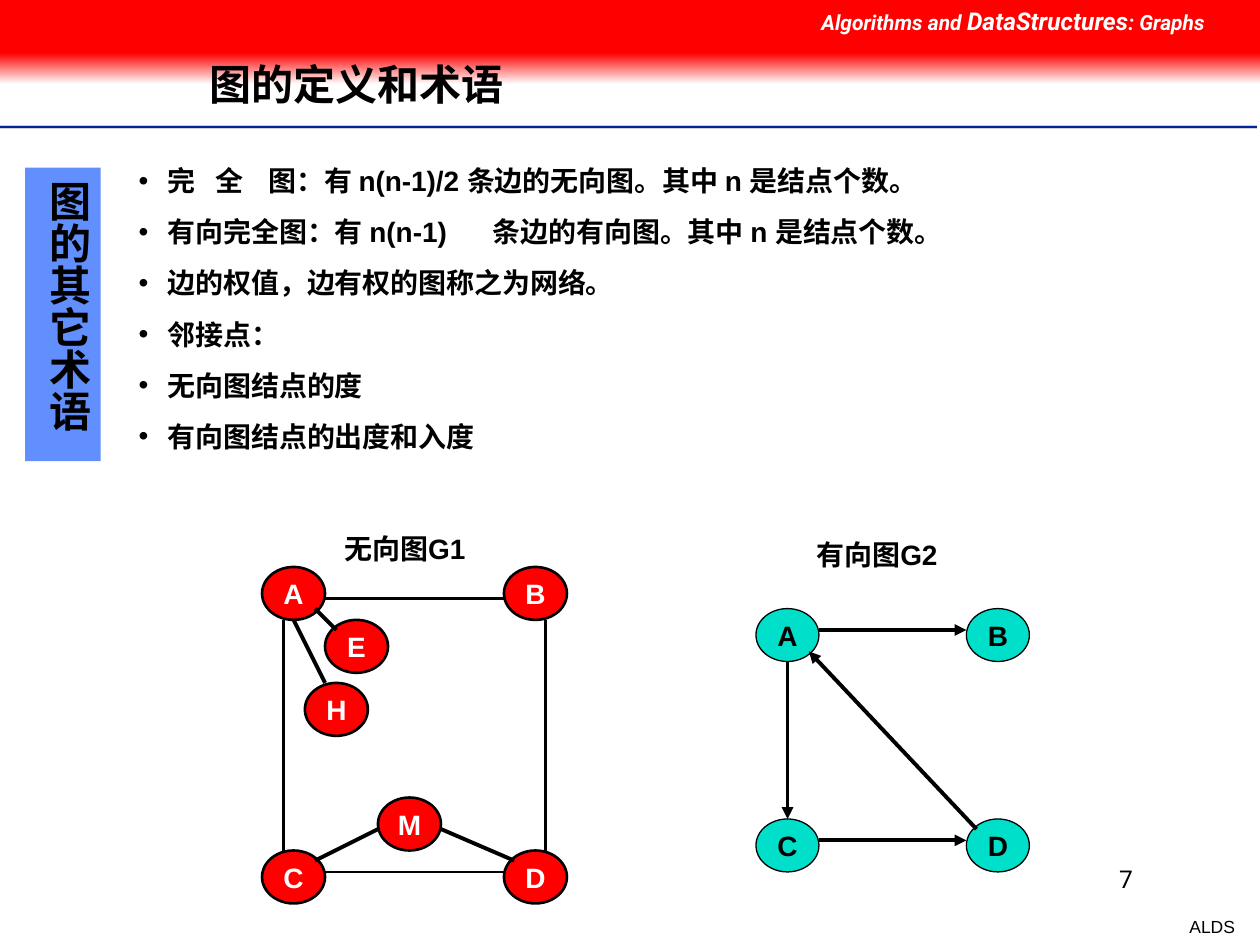
from dataclasses import dataclass

from lxml import etree
from pptx import Presentation
from pptx import util as u
from pptx.dml import color
from pptx.enum import shapes, text
from pptx.oxml import ns


@dataclass(frozen=True)
class Theme:
    black: str = "000000"
    white: str = "FFFFFF"
    red: str = "FF0000"
    teal: str = "00DFCA"
    blue: str = "618FFD"
    navy: str = "00279F"
    gray: str = "CECECE"
    font: str = "Arial"
    header_font: str = "Roboto"
    title_size: int = 24
    body_size: int = 16
    page_size: int = 14
    header_size: int = 12
    small_size: int = 10


THEME = Theme()
ALIGN = text.PP_ALIGN
ANCHOR = text.MSO_ANCHOR
NODE_SIZE = (0.5, 0.42)

BULLETS = [
    ("完\t全\t图：有 n(n-1)/2 条边的无向图。其中 n 是结点个数。", (0.61, 1.03)),
    ("有向完全图：有 n(n-1)\t条边的有向图。其中 n 是结点个数。", (2.81,)),
    ("边的权值，边有权的图称之为网络。", ()),
    ("邻接点：", ()),
    ("无向图结点的度", ()),
    ("有向图结点的出度和入度", ()),
]
UNDIRECTED_NODES = {
    "A": (2.08, 4.5), "B": (4, 4.5), "C": (2.08, 6.75), "D": (4, 6.75),
    "E": (2.58, 4.92), "H": (2.42, 5.42), "M": (3, 6.33),
}
SIDE_EDGES = [
    (2.58, 4.75, 4, 4.75), (2.25, 4.92, 2.25, 6.75),
    (4.33, 4.92, 4.33, 6.75), (2.58, 6.92, 4, 6.92),
]
INNER_EDGES = [
    (3.5, 6.58, 4.08, 6.83), (2.5, 6.83, 3, 6.58),
    (2.33, 4.92, 2.58, 5.42), (2.5, 4.83, 2.67, 5),
]
DIRECTED_NODES = {
    "A": (6, 4.83), "B": (7.67, 4.83), "C": (6, 6.5), "D": (7.67, 6.5),
}
DIRECTED_EDGES = [
    (6.5, 5, 7.67, 5), (6.5, 6.67, 7.67, 6.67),
    (6.25, 5.25, 6.25, 6.5), (7.75, 6.58, 6.42, 5.17),
]


def rgb(value):
    return color.RGBColor.from_string(value)


def inches(values):
    return [u.Inches(value) for value in values]


def set_attributes(target, values):
    for name, value in values.items():
        setattr(target, name, value)


def add_run(paragraph, content, size=THEME.body_size, ink=THEME.black,
            name=THEME.font, bold=True, italic=False):
    run = paragraph.add_run()
    run.text = content
    set_attributes(run.font, {"size": u.Pt(size), "name": name,
                              "bold": bold, "italic": italic})
    run.font.color.rgb = rgb(ink)


def format_frame(shape, wrap=True, anchor=ANCHOR.TOP):
    frame = shape.text_frame
    set_attributes(frame, {
        "word_wrap": wrap, "vertical_anchor": anchor,
        "auto_size": text.MSO_AUTO_SIZE.NONE,
        "margin_left": u.Inches(0.1), "margin_right": u.Inches(0.1),
        "margin_top": u.Inches(0.05), "margin_bottom": u.Inches(0.05),
    })
    return frame


def add_label(slide, box, content, align=ALIGN.LEFT, wrap=True, **style):
    frame = format_frame(slide.shapes.add_textbox(*inches(box)), wrap)
    paragraph = frame.paragraphs[0]
    paragraph.alignment = align
    if content:
        add_run(paragraph, content, **style)
    return paragraph


def add_block(slide, kind, box, fill=None, line_width=0):
    shape = slide.shapes.add_shape(kind, *inches(box))
    shape.shadow.inherit = False
    if fill:
        shape.fill.solid()
        shape.fill.fore_color.rgb = rgb(fill)
    if line_width:
        shape.line.color.rgb = rgb(THEME.black)
        shape.line.width = u.Pt(line_width)
    else:
        shape.line.fill.background()
    return shape


def add_line(slide, points, width, ink=THEME.black, arrow=False):
    line = slide.shapes.add_connector(shapes.MSO_CONNECTOR.STRAIGHT, *inches(points))
    line.line.color.rgb = rgb(ink)
    line.line.width = u.Pt(width)
    if arrow:
        outline = line.line._get_or_add_ln()
        etree.SubElement(outline, ns.qn("a:tailEnd"), type="triangle")
    etree.SubElement(line._element.spPr, ns.qn("a:effectLst"))


def add_nodes(slide, nodes, fill, ink, line_width):
    for name, position in nodes.items():
        node = add_block(slide, shapes.MSO_SHAPE.OVAL, position + NODE_SIZE, fill, line_width)
        paragraph = format_frame(node, False, ANCHOR.MIDDLE).paragraphs[0]
        paragraph.alignment = ALIGN.CENTER
        add_run(paragraph, name, ink=ink)


def place_placeholder(slide, shape, box):
    slide.shapes._spTree.append(shape._element)
    set_attributes(shape, dict(zip(("left", "top", "width", "height"), inches(box))))


def add_banner(slide):
    rectangle = shapes.MSO_SHAPE.RECTANGLE
    fade = add_block(slide, rectangle, (0, 0.42, 10, 0.25))
    fade.fill.gradient()
    fade.fill.gradient_angle = 270
    for stop, ink, position in zip(fade.fill.gradient_stops, (THEME.red, THEME.white), (0, 1)):
        stop.color.rgb = rgb(ink)
        stop.position = position
    add_block(slide, rectangle, (0, 0, 10, 0.42), THEME.red)
    for top, ink, width in ((1.01, THEME.gray, 2), (1.01, THEME.navy, 1), (1.03, THEME.white, 1)):
        add_line(slide, (0, top, 9.98, top), width, ink)
    header = add_label(slide, (6.42, 0, 3.58, 0.34), "")
    for content, size in (("Algorithms and ", THEME.header_size),
                          ("DataStructures", THEME.page_size),
                          (": Graphs", THEME.header_size)):
        add_run(header, content, size, THEME.white, THEME.header_font, italic=True)


def add_title(slide, content):
    title = slide.shapes.title
    place_placeholder(slide, title, (1.56, 0.32, 7.55, 0.74))
    paragraph = format_frame(title, anchor=ANCHOR.MIDDLE).paragraphs[0]
    set_attributes(paragraph, {"alignment": ALIGN.LEFT, "line_spacing": 0.9})
    add_run(paragraph, content, THEME.title_size)


def format_bullet(paragraph, tab_stops):
    properties = paragraph._p.get_or_add_pPr()
    properties.set("marL", str(u.Inches(0.23)))
    properties.set("indent", str(-u.Inches(0.23)))
    bullet_color = etree.SubElement(properties, ns.qn("a:buClr"))
    etree.SubElement(bullet_color, ns.qn("a:srgbClr"), val=THEME.black)
    etree.SubElement(properties, ns.qn("a:buFont"), typeface=THEME.font)
    etree.SubElement(properties, ns.qn("a:buChar"), char="•")
    if tab_stops:
        tabs = etree.SubElement(properties, ns.qn("a:tabLst"))
        for stop in tab_stops:
            etree.SubElement(tabs, ns.qn("a:tab"), pos=str(u.Inches(stop)), algn="l")


def add_bullets(slide):
    body = slide.placeholders[1]
    place_placeholder(slide, body, (1, 1.25, 8.33, 2.4))
    frame = format_frame(body)
    for index, (content, tab_stops) in enumerate(BULLETS):
        paragraph = frame.add_paragraph() if index else frame.paragraphs[0]
        format_bullet(paragraph, tab_stops)
        paragraph.space_before = u.Pt(10 if index else 0)
        add_run(paragraph, content)


def add_side_heading(slide, content):
    heading = add_block(slide, shapes.MSO_SHAPE.RECTANGLE, (0.2, 1.33, 0.6, 2.33), THEME.blue)
    frame = format_frame(heading)
    set_attributes(frame, {"margin_left": u.Inches(0.05), "margin_right": u.Inches(0.05),
                           "margin_top": u.Inches(0.1), "margin_bottom": u.Inches(0.1)})
    frame._txBody.bodyPr.set("vert", "eaVert")
    frame.paragraphs[0].alignment = ALIGN.CENTER
    add_run(frame.paragraphs[0], content, THEME.title_size)


def add_graphs(slide):
    add_label(slide, (2.58, 4.17, 1.33, 0.37), "无向图G1 ", ALIGN.CENTER)
    add_nodes(slide, UNDIRECTED_NODES, THEME.red, THEME.white, 1.5)
    add_label(slide, (6.25, 4.22, 1.42, 0.37), "有向图G2", ALIGN.CENTER)
    add_nodes(slide, DIRECTED_NODES, THEME.teal, THEME.black, 0.75)
    for edges, width, arrow in ((SIDE_EDGES, 1.5, False), (INNER_EDGES, 2.25, False),
                                (DIRECTED_EDGES, 2.25, True)):
        for points in edges:
            add_line(slide, points, width, arrow=arrow)


def main():
    presentation = Presentation()
    presentation.slide_width, presentation.slide_height = inches((10, 7.5))
    slide = presentation.slides.add_slide(presentation.slide_layouts[1])
    add_banner(slide)
    add_label(slide, (9.34, 7.22, 0.56, 0.27), "ALDS", ALIGN.RIGHT, False,
              size=THEME.small_size, bold=False)
    add_label(slide, (7.17, 6.81, 1.92, 0.5), "7", ALIGN.RIGHT,
              size=THEME.page_size, name=THEME.header_font, bold=False)
    add_title(slide, "图的定义和术语")
    add_bullets(slide)
    add_side_heading(slide, "图的其它术语")
    add_graphs(slide)
    presentation.save("out.pptx")


if __name__ == "__main__":
    main()
